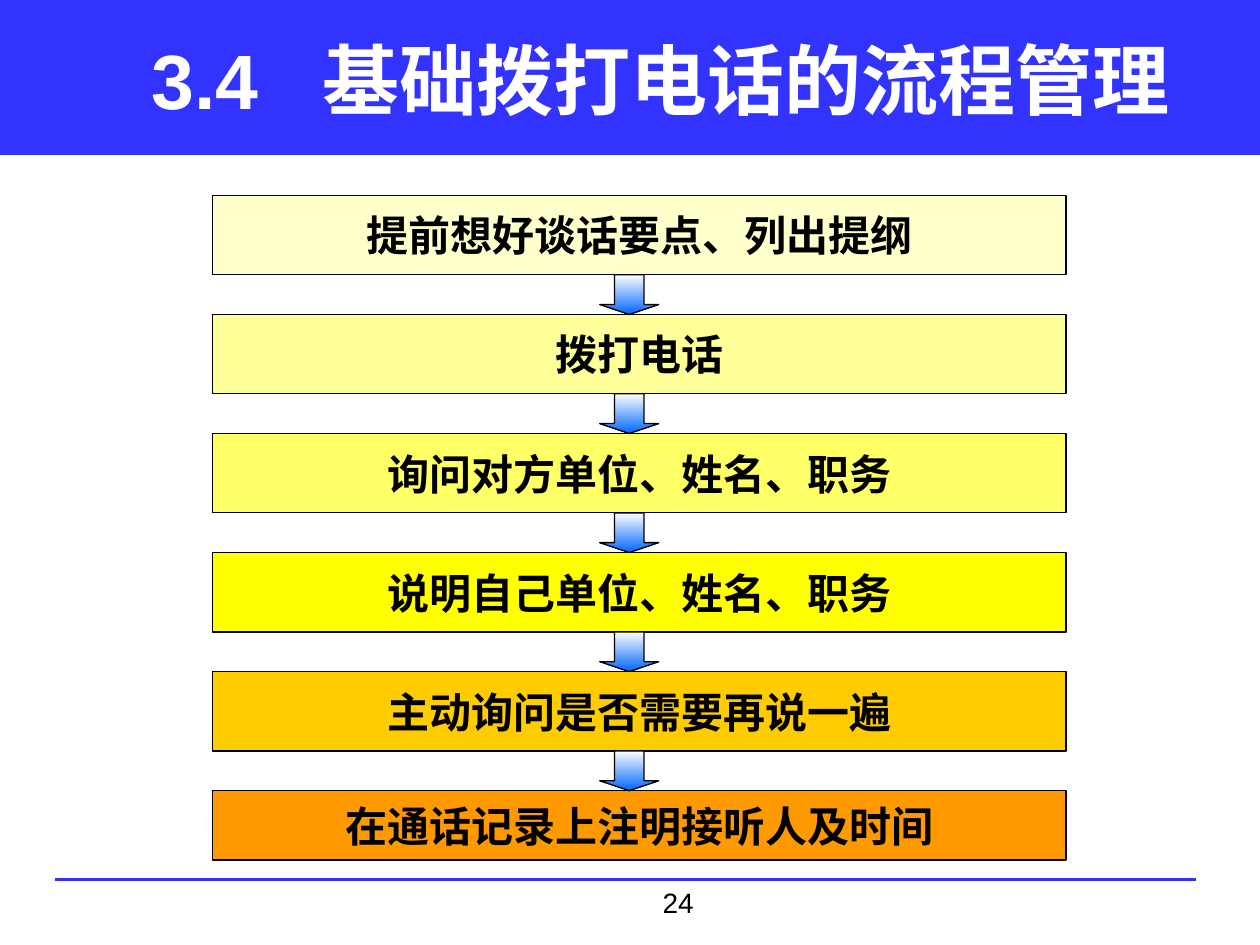
from dataclasses import dataclass

from lxml import etree
from pptx import Presentation
from pptx import util as u
from pptx.dml.color import RGBColor
from pptx.enum import shapes, text
from pptx.oxml import ns


@dataclass(frozen=True)
class Theme:
    font: str = "Arial"
    blue: str = "3333FF"
    arrow_top: str = "FFFFFF"
    arrow_bottom: str = "0066FF"
    light: str = "FFFFFF"
    dark: str = "000000"
    title_size: int = 44
    step_size: int = 24
    number_size: int = 16
    outline: float = 0.75
    rule: float = 2.25


THEME = Theme()
STEPS = [
    ("提前想好谈话要点、列出提纲", "FFFFCC", 1.6),
    ("拨打电话", "FFFF99", 1.6),
    ("询问对方单位、姓名、职务", "FFFF66", 1.6),
    ("说明自己单位、姓名、职务", "FFFF00", 1.6),
    ("主动询问是否需要再说一遍", "FFCC00", 1.6),
    ("在通话记录上注明接听人及时间", "FF9900", 1.4),
]
STEP_LEFT, STEP_TOP, STEP_WIDTH = 4.29, 3.94, 17.2
STEP_PITCH = 2.4
ARROW_LEFT, ARROW_WIDTH, ARROW_HEIGHT = 12.09, 1.19, 0.8


def color(value):
    return RGBColor.from_string(value)


def place(left, top, width, height):
    return [u.Cm(value) for value in (left, top, width, height)]


def style_text(paragraph, size, fill, bold=False):
    font = paragraph.font
    font.name = THEME.font
    font.size = u.Pt(size)
    font.bold = bold
    font.color.rgb = color(fill)


def add_outlined(slide, kind, box, line):
    shape = slide.shapes.add_shape(kind, *place(*box))
    shape.shadow.inherit = False
    shape.line.color.rgb = color(line)
    shape.line.width = u.Pt(THEME.outline)
    return shape


def add_box(slide, box, fill, line):
    shape = add_outlined(slide, shapes.MSO_SHAPE.RECTANGLE, box, line)
    shape.fill.solid()
    shape.fill.fore_color.rgb = color(fill)
    return shape


def add_step(slide, top, label, fill, height):
    shape = add_box(slide, (STEP_LEFT, top, STEP_WIDTH, height), fill, THEME.dark)
    frame = shape.text_frame
    frame.word_wrap = False
    frame.vertical_anchor = text.MSO_ANCHOR.MIDDLE
    paragraph = frame.paragraphs[0]
    paragraph.text = label
    paragraph.alignment = text.PP_ALIGN.CENTER
    style_text(paragraph, THEME.step_size, THEME.dark, bold=True)


def add_arrow(slide, top):
    box = (ARROW_LEFT, top, ARROW_WIDTH, ARROW_HEIGHT)
    shape = add_outlined(slide, shapes.MSO_SHAPE.DOWN_ARROW, box, THEME.dark)
    shape.adjustments[0] = 0.5
    shape.adjustments[1] = 0.25
    shape.fill.gradient()
    shape.fill.gradient_angle = 270
    for stop, value in zip(
        shape.fill.gradient_stops, (THEME.arrow_top, THEME.arrow_bottom)
    ):
        stop.color.rgb = color(value)


def add_title(slide, number, heading):
    frame = slide.shapes.add_textbox(*place(2.29, 0, 22.07, 3.18)).text_frame
    frame.word_wrap = True
    frame.vertical_anchor = text.MSO_ANCHOR.MIDDLE
    paragraph = frame.paragraphs[0]
    paragraph.alignment = text.PP_ALIGN.CENTER
    style_text(paragraph, THEME.title_size, THEME.light, bold=True)
    _, gap, _ = [paragraph.add_run() for _ in range(3)]
    for run, content in zip(paragraph.runs, (number, " ", heading)):
        run.text = content
    gap._r.get_or_add_rPr().set("spc", "2400")


def add_page_number(slide, number):
    frame = slide.shapes.add_textbox(*place(13.11, 17.73, 1.6, 0.94)).text_frame
    frame.word_wrap = True
    paragraph = frame.paragraphs[0]
    paragraph.text = number
    style_text(paragraph, THEME.number_size, THEME.dark)


def add_rule(slide, left, right, top):
    line = slide.shapes.add_connector(
        shapes.MSO_CONNECTOR.STRAIGHT, *place(left, top, right, top)
    )
    line.line.color.rgb = color(THEME.blue)
    line.line.width = u.Pt(THEME.rule)
    etree.SubElement(line._element.spPr, ns.qn("a:effectLst"))


def main():
    presentation = Presentation()
    presentation.slide_width = u.Cm(25.4)
    presentation.slide_height = u.Cm(19.05)
    slide = presentation.slides.add_slide(presentation.slide_layouts[6])

    add_box(slide, (0, 0, 25.4, 3.12), THEME.blue, THEME.blue)
    add_rule(slide, 1.1, 24.1, 17.73)
    add_page_number(slide, "24")
    add_title(slide, "3.4", "基础拨打电话的流程管理")

    for index, (label, fill, height) in enumerate(STEPS):
        top = STEP_TOP + index * STEP_PITCH
        add_step(slide, top, label, fill, height)
        if index:
            add_arrow(slide, top - ARROW_HEIGHT)

    presentation.save("out.pptx")


if __name__ == "__main__":
    main()
